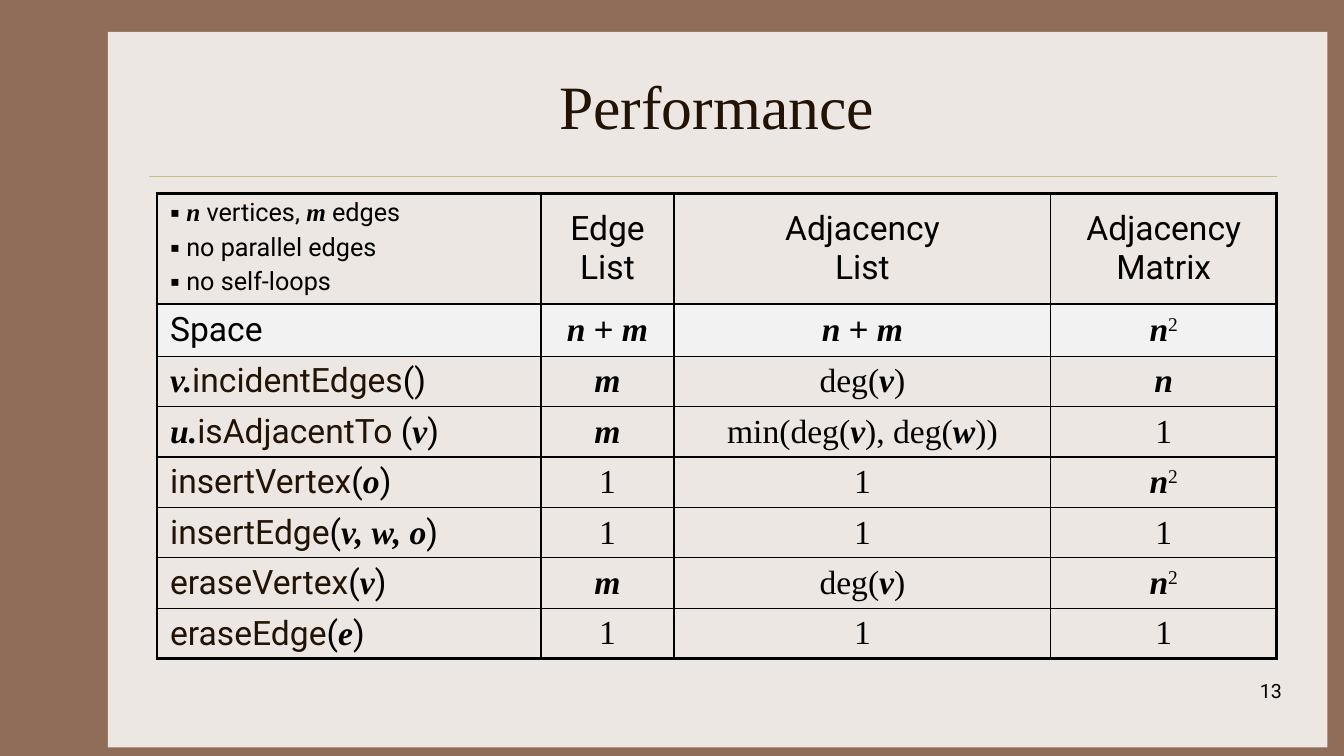
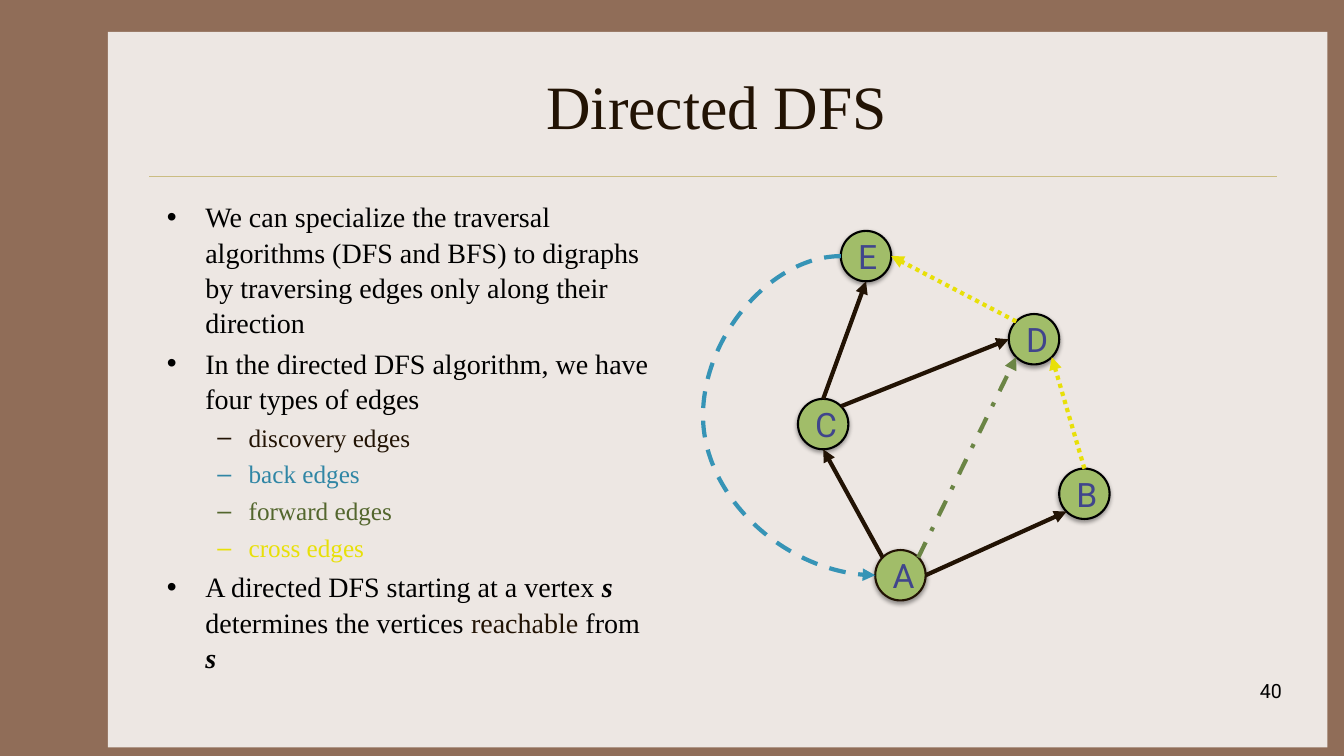
from dataclasses import dataclass
from math import cos, radians, sin
from typing import NamedTuple, Optional

from lxml.etree import SubElement
from pptx import Presentation
from pptx.dml.color import RGBColor
from pptx.enum.dml import MSO_LINE
from pptx.enum.shapes import MSO_CONNECTOR, MSO_SHAPE
from pptx.enum.text import MSO_ANCHOR, PP_ALIGN
from pptx.oxml.ns import qn
from pptx.util import Inches, Pt

# The slide is a grid of 160 columns by 90 rows with square units.
SLIDE_WIDTH, SLIDE_HEIGHT = Inches(13.33), Inches(7.5)
COLUMNS, ROWS = 160, 90
LEFT, WIDTH = 18.7, 133.3
CONTENT_TOP = 23

FRAME, PANEL, RULE = "906D58", "EDE7E3", "CBBD83"
BLACK, BROWN = "000000", "221304"
BLUE, GREEN, DARK_GREEN, YELLOW = "3694B6", "6B8545", "53662D", "E8E008"
BLUE_TEXT, NODE_FILL, NODE_TEXT, HIGHLIGHT = "3086A5", "A1BD69", "40458C", "F2F2F2"
SERIF, SANS = "Times New Roman", "Roboto"


class Span(NamedTuple):
    words: str
    font: str = SANS
    color: str = BLACK
    strong: bool = False  # bold and italic, for variables
    raised: bool = False


class Bullet(NamedTuple):
    mark: str
    margin: float
    size_percent: int = 100


class Item(NamedTuple):
    bullet: Bullet
    size: int
    spans: list[Span]


class Node(NamedTuple):
    name: str
    column: float
    row: float
    outline: str = BLACK


@dataclass
class Edge:
    start: str
    start_angle: int
    end: str
    end_angle: int
    color: str = BROWN
    dash: Optional[MSO_LINE] = None
    bend: Optional[int] = None


def variable(words: str) -> Span:
    return Span(words, SERIF, strong=True)


def roman(words: str, color: str = BLACK) -> Span:
    return Span(words, SERIF, color)


def call(name: str, arguments: str) -> list[Span]:
    return [Span(name, color=BROWN), Span("("), variable(arguments), Span(")")]


def degree(vertex: str) -> list[Span]:
    return [roman("deg("), variable(vertex), roman(")")]


ONE, N, M = [roman("1")], [variable("n")], [variable("m")]
SUM = [variable("n "), Span("+", "Arial"), variable(" m")]
SQUARE = [variable("n"), Span("2", SERIF, raised=True)]

SQUARE_BULLET = Bullet("▪", 0.16, 110)
MAIN_BULLET, SUB_BULLET = Bullet("•", 0.38), Bullet("–", 0.81)

ASSUMPTIONS = [
    Item(SQUARE_BULLET, 18, [variable("n"), Span(" vertices, "), variable("m"), Span(" edges")]),
    Item(SQUARE_BULLET, 18, [Span("no parallel edges")]),
    Item(SQUARE_BULLET, 18, [Span("no self-loops")]),
]
TABLE_COLUMNS = [45.7, 15.85, 44.85, 26.9]
TABLE_ROWS = [12.8, 6.2] + [6] * 6
HEADINGS = ["Edge\vList", "Adjacency\vList", "Adjacency\vMatrix"]
COSTS = [
    [[Span("Space")], SUM, SUM, SQUARE],
    [[variable("v."), Span("incidentEdges", color=BROWN), Span("()")], M, degree("v"), N],
    [[variable("u.")] + call("isAdjacentTo ", "v"), M,
     [roman("min(deg("), variable("v"), roman("), deg("), variable("w"), roman("))")], ONE],
    [call("insertVertex", "o"), ONE, ONE, SQUARE],
    [call("insertEdge", "v, w, o"), ONE, ONE, ONE],
    [call("eraseVertex", "v"), M, degree("v"), SQUARE],
    [call("eraseEdge", "e"), ONE, ONE, ONE],
]

EDGE_KINDS = [("discovery edges", BROWN), ("back edges", BLUE_TEXT),
              ("forward edges", DARK_GREEN), ("cross edges", YELLOW)]
DFS_ITEMS = [
    Item(MAIN_BULLET, 20, [roman("We can specialize the traversal algorithms (DFS and BFS) "
                                 "to digraphs by traversing edges only along their direction")]),
    Item(MAIN_BULLET, 20, [roman("In the directed DFS algorithm, we have four types of edges")]),
    *(Item(SUB_BULLET, 18, [roman(kind, color)]) for kind, color in EDGE_KINDS),
    Item(MAIN_BULLET, 20, [roman("A directed DFS starting at a vertex "), variable("s"),
                           roman(" determines the vertices "), roman("reachable", BROWN),
                           roman(" from "), variable("s")]),
]

NODE_SIZE = 6
NODES = [Node("A", 104.2, 65.5, BROWN), Node("C", 95, 47.5), Node("E", 100.1, 27.5),
         Node("B", 126.1, 55.8), Node("D", 120.1, 37.4)]
# Angles run clockwise from the right-hand side of a node.
EDGES = [
    Edge("A", 225, "C", 270 - 180),
    Edge("A", 0, "B", 135),
    Edge("C", 270, "E", 90),
    Edge("D", 225, "E", 0, YELLOW, MSO_LINE.ROUND_DOT),
    Edge("B", 270, "D", 45, YELLOW, MSO_LINE.ROUND_DOT),
    Edge("A", 315, "D", 135, GREEN, MSO_LINE.DASH_DOT),
    Edge("C", 315, "D", 180),
    Edge("E", 180, "A", 180, BLUE, MSO_LINE.DASH, bend=-400000),
]


def grid(*units: float) -> list[int]:
    """Turn grid units into slide lengths."""
    return [round(unit * SLIDE_WIDTH / COLUMNS) for unit in units]


def paint(target, color: str) -> None:
    target.solid()
    target.fore_color.rgb = RGBColor.from_string(color)


def add_spans(para, spans: list[Span], size: int) -> None:
    for words, font, color, strong, raised in spans:
        for index, line in enumerate(words.split("\v")):
            if index:
                para.add_line_break()
            run = para.add_run()
            run.text = line
            run.font.name, run.font.size = font, Pt(size)
            run.font.bold = run.font.italic = strong
            paint(run.font.fill, color)
            if raised:
                run._r.get_or_add_rPr().set("baseline", "30000")


def add_items(frame, items: list[Item], line_spacing: float = 1.0) -> None:
    for index, (bullet, size, spans) in enumerate(items):
        para = frame.add_paragraph() if index else frame.paragraphs[0]
        properties = para._p.get_or_add_pPr()
        hang = 0.31 if bullet is SUB_BULLET else bullet.margin
        properties.set("marL", str(Inches(bullet.margin)))
        properties.set("indent", str(-Inches(hang)))
        SubElement(properties, qn("a:buSzPct")).set("val", str(bullet.size_percent * 1000))
        SubElement(properties, qn("a:buFont")).set("typeface", "Arial")
        SubElement(properties, qn("a:buChar")).set("char", bullet.mark)
        para.line_spacing = line_spacing
        para.space_before = Pt(size * 0.2 if index else 0)
        add_spans(para, spans, size)


def add_line(page, kind: MSO_CONNECTOR, ends: list[int], color: str, width: float):
    line = page.shapes.add_connector(kind, *ends)
    line.line.width = Pt(width)
    paint(line.line.fill, color)
    SubElement(line.element.spPr, qn("a:effectLst"))
    return line


def add_page(deck, title: str, number: int):
    """Add a slide with the shared panel, rule, title and page number."""
    page = deck.slides.add_slide(deck.slide_layouts[5])
    paint(page.background.fill, FRAME)
    panel = page.shapes.add_shape(MSO_SHAPE.RECTANGLE, *grid(12.84, 3.8, 145.2, 85.2))
    panel.shadow.inherit = False
    paint(panel.fill, PANEL)
    panel.line.fill.background()
    add_line(page, MSO_CONNECTOR.STRAIGHT, grid(17.8, 21, 152, 21), RULE, 0.25)

    heading = page.shapes.title
    page.shapes.element.append(heading.element)  # in front of the panel
    heading.left, heading.top, heading.width, heading.height = grid(LEFT, 5, WIDTH, 15)
    heading.text_frame.vertical_anchor = MSO_ANCHOR.MIDDLE
    para = heading.text_frame.paragraphs[0]
    para.alignment = PP_ALIGN.CENTER
    add_spans(para, [roman(title, BROWN)], 44)

    box = page.shapes.add_textbox(*grid(120.4, 80.2, 33.4, 6))
    box.text_frame.word_wrap = True
    para = box.text_frame.paragraphs[0]
    para.alignment = PP_ALIGN.RIGHT
    add_spans(para, [Span(str(number))], 14)
    return page


def format_cell(cell, row: int, column: int) -> None:
    cell.margin_left = cell.margin_right = Inches(0.13)
    cell.margin_top = cell.margin_bottom = Inches(0.05)
    cell.vertical_anchor = MSO_ANCHOR.MIDDLE if row or column else MSO_ANCHOR.TOP
    outer = {"L": column == 0, "R": column == len(TABLE_COLUMNS) - 1,
             "T": row == 0, "B": row == len(TABLE_ROWS) - 1}
    properties = cell._tc.get_or_add_tcPr()
    for side, is_outer in outer.items():
        border = SubElement(properties, qn(f"a:ln{side}"), w=str(Pt(2.25 if is_outer else 1)))
        SubElement(SubElement(border, qn("a:solidFill")), qn("a:srgbClr")).set("val", BLACK)
    if row == 1:
        paint(cell.fill, HIGHLIGHT)
    else:
        cell.fill.background()


def add_cost_table(page) -> None:
    frame = page.shapes.add_table(len(TABLE_ROWS), len(TABLE_COLUMNS),
                                  *grid(LEFT, CONTENT_TOP, WIDTH, sum(TABLE_ROWS)))
    table = frame.table
    table.first_row = table.horz_banding = False
    for column, width in zip(table.columns, grid(*TABLE_COLUMNS)):
        column.width = width
    for row, height in zip(table.rows, grid(*TABLE_ROWS)):
        row.height = height
    contents = [[[]] + [[Span(heading)] for heading in HEADINGS]] + COSTS
    for row, cells in enumerate(contents):
        for column, spans in enumerate(cells):
            cell = table.cell(row, column)
            format_cell(cell, row, column)
            if row == column == 0:
                add_items(cell.text_frame, ASSUMPTIONS)
                continue
            para = cell.text_frame.paragraphs[0]
            para.alignment = PP_ALIGN.CENTER if column else PP_ALIGN.LEFT
            add_spans(para, spans, 24)


def add_node(page, node: Node) -> None:
    circle = page.shapes.add_shape(MSO_SHAPE.OVAL,
                                   *grid(node.column, node.row, NODE_SIZE, NODE_SIZE))
    paint(circle.fill, NODE_FILL)
    paint(circle.line.fill, node.outline)
    circle.line.width = Pt(1.5)
    effects = SubElement(circle.element.spPr, qn("a:effectLst"))
    shadow = SubElement(effects, qn("a:outerShdw"), blurRad=str(Pt(3.1)), dist=str(Pt(1.6)),
                        dir="5400000", rotWithShape="0")
    shade = SubElement(shadow, qn("a:srgbClr"), val=BLACK)
    SubElement(shade, qn("a:alpha"), val="38000")
    frame = circle.text_frame
    frame.word_wrap = False
    frame.vertical_anchor = MSO_ANCHOR.MIDDLE
    frame.paragraphs[0].alignment = PP_ALIGN.LEFT
    add_spans(frame.paragraphs[0], [Span(node.name, color=NODE_TEXT)], 24)


def rim_point(node: Node, angle: int) -> list[int]:
    radius, turn = NODE_SIZE / 2, radians(angle)
    return grid(node.column + radius * (1 + cos(turn)), node.row + radius * (1 + sin(turn)))


def add_edge(page, edge: Edge, nodes: dict[str, Node]) -> None:
    kind = MSO_CONNECTOR.STRAIGHT if edge.bend is None else MSO_CONNECTOR.CURVE
    ends = (rim_point(nodes[edge.start], edge.start_angle)
            + rim_point(nodes[edge.end], edge.end_angle))
    arrow = add_line(page, kind, ends, edge.color, 3)
    if edge.dash is not None:
        arrow.line.dash_style = edge.dash
    properties = arrow.element.spPr
    SubElement(properties.find(qn("a:ln")), qn("a:tailEnd"), type="triangle")
    if edge.bend is not None:
        guides = properties.find(qn("a:prstGeom")).find(qn("a:avLst"))
        SubElement(guides, qn("a:gd"), name="adj1", fmla=f"val {edge.bend}")


def main() -> None:
    deck = Presentation()
    deck.slide_width, deck.slide_height = SLIDE_WIDTH, SLIDE_HEIGHT

    add_cost_table(add_page(deck, "Performance", 13))

    page = add_page(deck, "Directed DFS", 40)
    box = page.shapes.add_textbox(*grid(LEFT, CONTENT_TOP, 60.2, 54))
    box.text_frame.word_wrap = True
    add_items(box.text_frame, DFS_ITEMS, 1.05)
    for node in NODES:
        add_node(page, node)
    nodes = {node.name: node for node in NODES}
    for edge in EDGES:
        add_edge(page, edge, nodes)

    deck.save("out.pptx")


if __name__ == "__main__":
    main()
